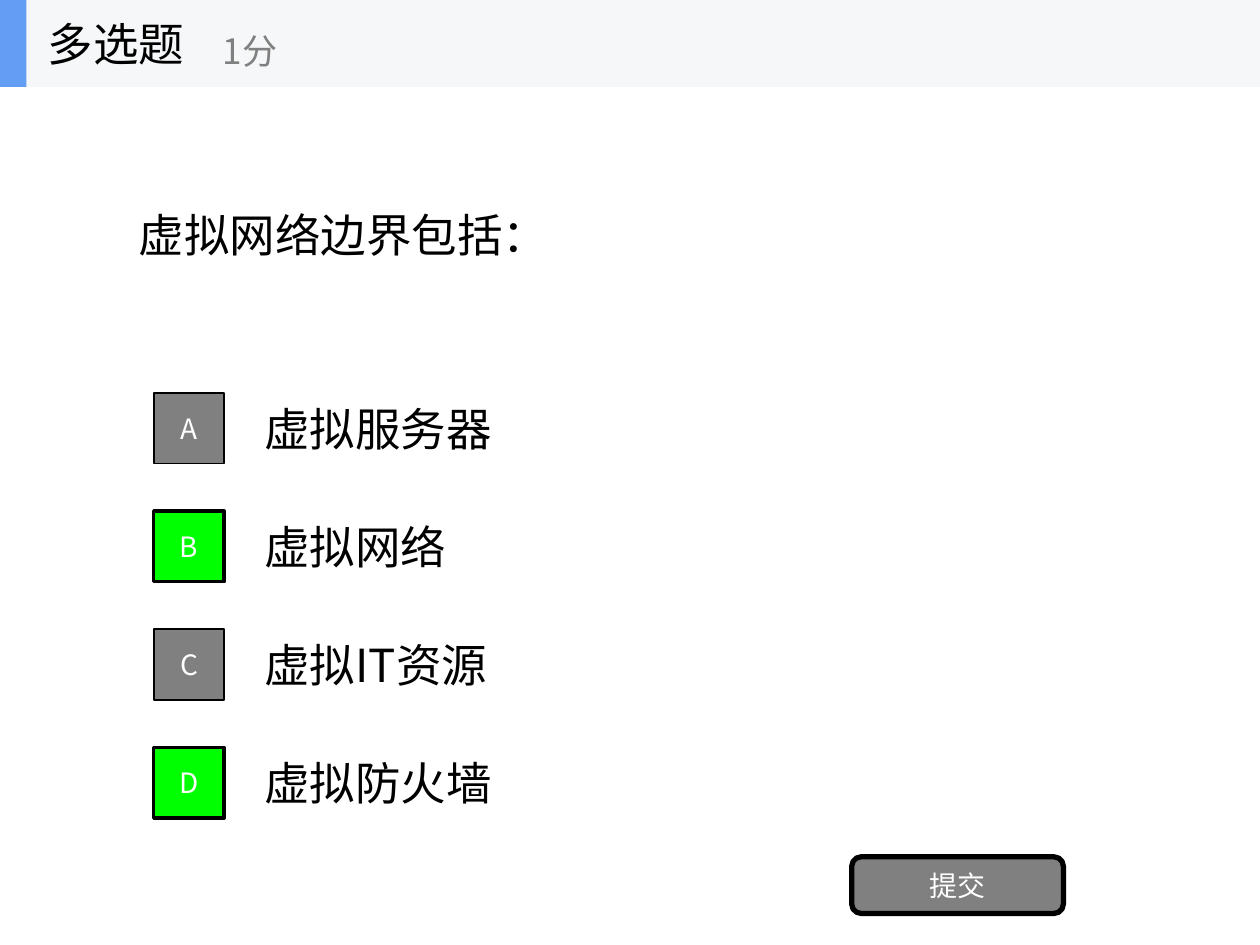
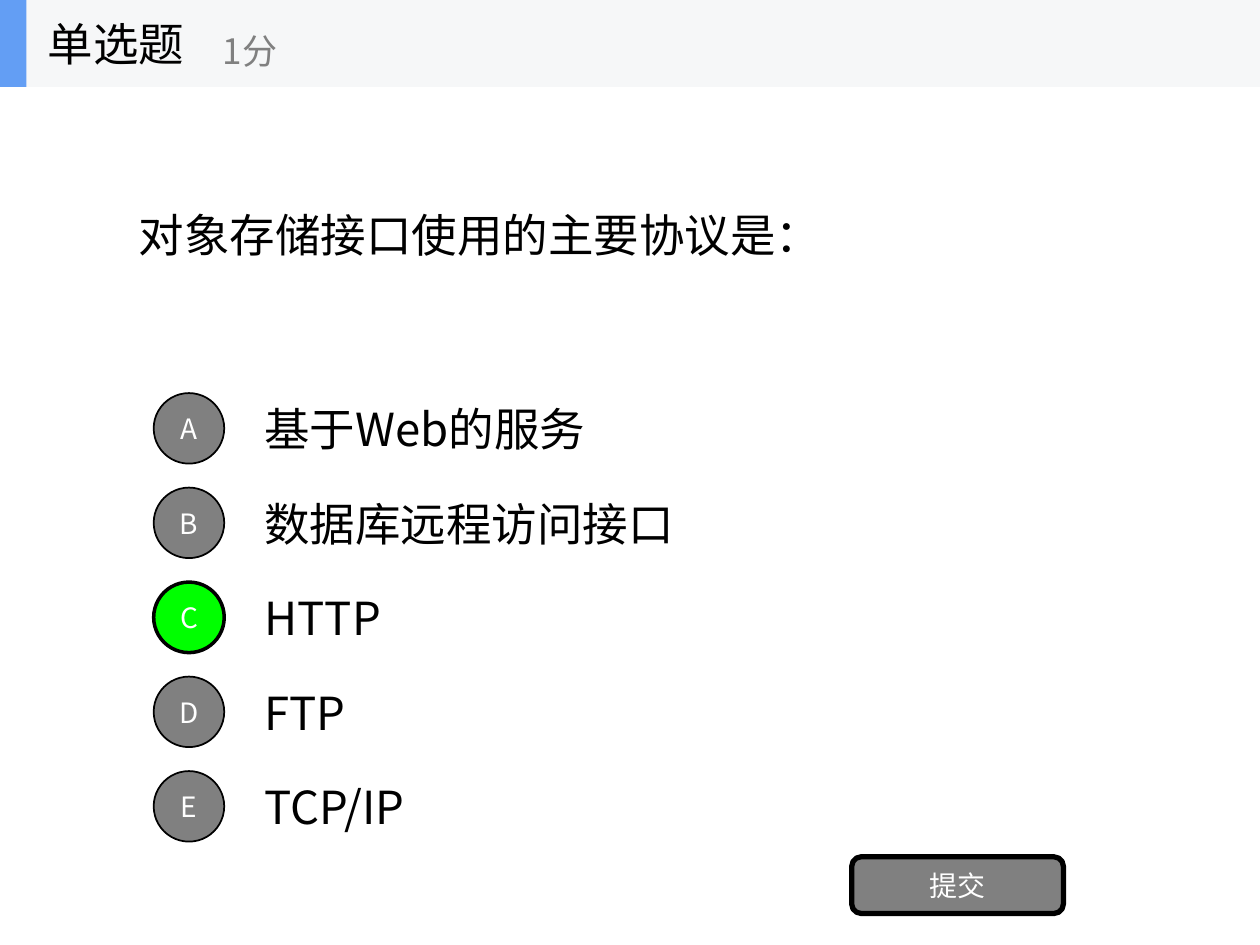
from collections import namedtuple
from dataclasses import dataclass

from lxml import etree
from pptx import Presentation
from pptx import util as u
from pptx.dml.color import RGBColor
from pptx.enum import shapes, text
from pptx.oxml import ns

Box = namedtuple("Box", "x y w h")
Kind = shapes.MSO_SHAPE
Align = text.PP_ALIGN


@dataclass(frozen=True)
class Theme:
    font: str = "Noto Sans CJK SC"
    ink: str = "000000"
    white: str = "FFFFFF"
    gray: str = "808080"
    right: str = "00FF00"
    band: str = "F6F7F8"
    blue: str = "639EF4"
    big: int = 26
    mid: int = 20
    small: int = 16


T = Theme()
PAGE = Box(0, 0, 10, 7.5)
HEAD = Box(0, 0, PAGE.w, 0.69)
MAIN = Box(1, HEAD.h, PAGE.w * 0.8, 2.34)
LIST = Box(1, 3.05, PAGE.w * 0.8, PAGE.h / 2)
FOOT = Box(1, LIST.y + LIST.h, LIST.w, PAGE.h * 0.06)
LINE = 0.7   # height of one option
MARK = 0.56  # side of an option's badge


def part(box, x, y, w, h):
    """Cut a part out of a box, in shares of its size."""
    return Box(box.x + x * box.w, box.y + y * box.h, w * box.w, h * box.h)


def inch(box):
    return [u.Inches(n) for n in box]


def write(shape, words, size, color, align=Align.LEFT):
    frame = shape.text_frame
    frame.text = words
    frame.word_wrap = True
    frame.auto_size = text.MSO_AUTO_SIZE.NONE
    frame.vertical_anchor = text.MSO_ANCHOR.MIDDLE
    para = frame.paragraphs[0]
    para.alignment = align
    for run in para.runs:
        run.font.size = u.Pt(size)
        run.font.name = T.font
        run.font.color.rgb = RGBColor.from_string(color)
        # Chinese glyphs take their face from the East Asian slot
        east = etree.SubElement(run.font._element, ns.qn("a:ea"))
        east.set("typeface", T.font)


def label(group, box, words, size=T.big, color=T.ink):
    write(group.add_textbox(*inch(box)), words, size, color)


def block(group, kind, box, fill, edge=0, words=""):
    shape = group.add_shape(kind, *inch(box))
    shape.shadow.inherit = False
    shape.fill.solid()
    shape.fill.fore_color.rgb = RGBColor.from_string(fill)
    if edge:
        shape.line.color.rgb = RGBColor.from_string(T.ink)
        shape.line.width = u.Pt(edge)
    else:
        shape.line.fill.background()
    if words:
        write(shape, words, T.small, T.white, Align.CENTER)


# Header band with the type of question and its score
def header(slide, box, name, score):
    group = slide.shapes.add_group_shape().shapes
    block(group, Kind.RECTANGLE, box, T.band)
    block(group, Kind.RECTANGLE, part(box, 0, 0, 0.021, 1), T.blue)
    label(group, part(box, 0.028, 0, 0.208, 1), name)
    label(group, part(box, 0.167, 0.18, 0.25, 0.81), score, T.mid, T.gray)


# Question, in the title placeholder
def ask(slide, box, words):
    title = slide.shapes.title
    title.left, title.top, title.width, title.height = inch(box)
    write(title, words, T.big, T.ink)


# Options share the box's height; badges sit in its first column of eight
def choices(slide, box, kind, items, keys):
    col, row = box.w / 8, box.h / len(items)
    for i, (key, item) in enumerate(zip("ABCDE", items)):
        top = box.y + i * row
        label(slide.shapes, Box(box.x + col, top, box.w - col, LINE), item)
        mark = Box(box.x + (col - MARK) / 2, top + (LINE - MARK) / 2, MARK, MARK)
        fill, edge = (T.right, 2) if key in keys else (T.gray, 1)
        block(slide.shapes, kind, mark, fill, edge, key)


# Submit button
def submit(slide, box):
    spot = part(box, 0.72, 0, 0.21, 1)
    block(slide.shapes, Kind.ROUNDED_RECTANGLE, spot, T.gray, 3, "提交")


def quiz(deck, name, kind, words, items, keys):
    slide = deck.slides.add_slide(deck.slide_layouts.get_by_name("Title Only"))
    ask(slide, MAIN, words)
    choices(slide, LIST, kind, items, keys)
    submit(slide, FOOT)
    header(slide, HEAD, name, "1分")


def main():
    deck = Presentation()
    deck.slide_width, deck.slide_height = u.Inches(PAGE.w), u.Inches(PAGE.h)
    quiz(deck, "多选题", Kind.RECTANGLE, "虚拟网络边界包括：",
         ["虚拟服务器", "虚拟网络", "虚拟IT资源", "虚拟防火墙"], "BD")
    quiz(deck, "单选题", Kind.OVAL, "对象存储接口使用的主要协议是：",
         ["基于Web的服务", "数据库远程访问接口", "HTTP", "FTP", "TCP/IP"], "C")
    deck.save("out.pptx")


if __name__ == "__main__":
    main()
